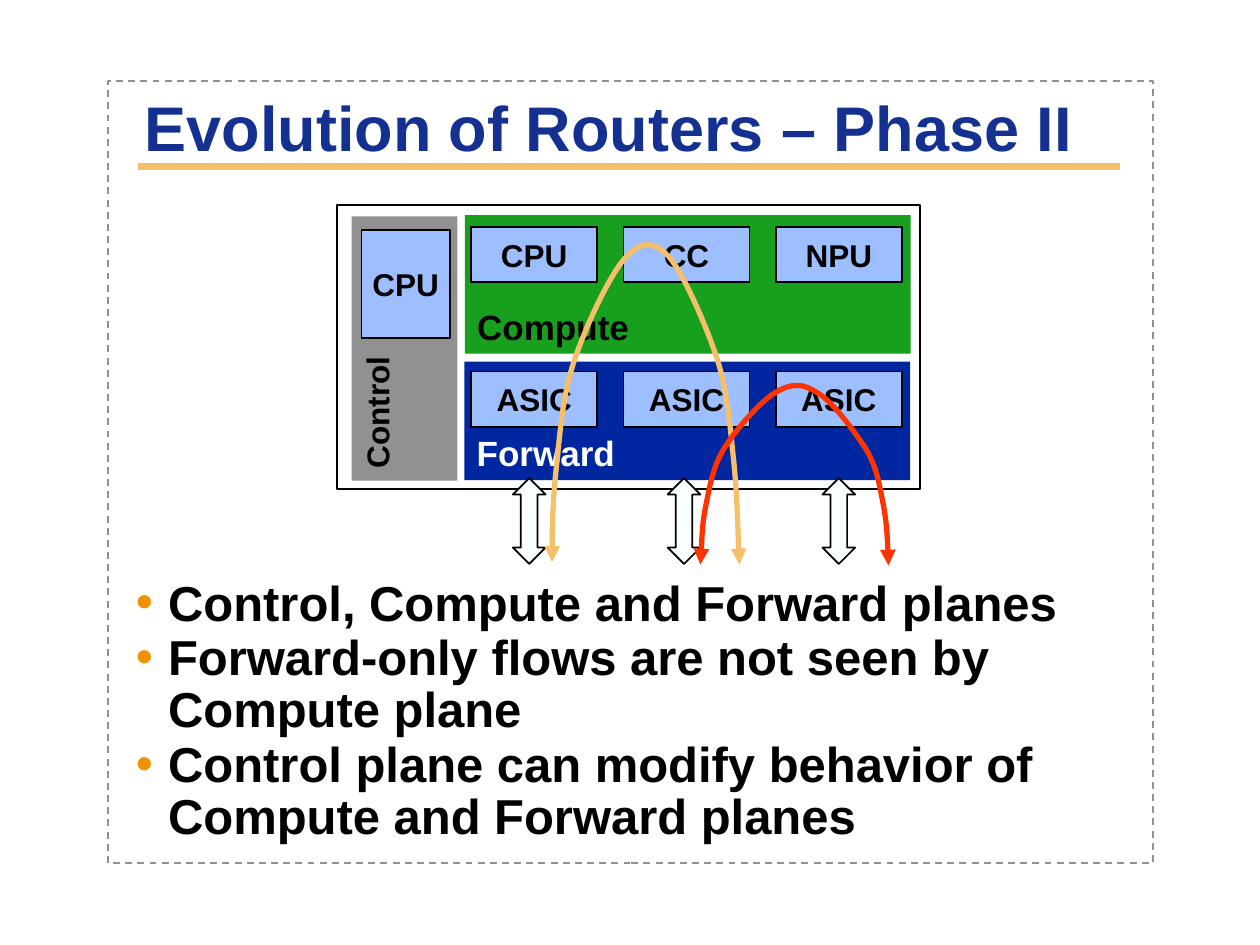
from lxml.etree import SubElement
from pptx import Presentation
from pptx.dml.color import RGBColor
from pptx.enum.dml import MSO_LINE
from pptx.enum.shapes import MSO_CONNECTOR, MSO_SHAPE
from pptx.enum.text import MSO_ANCHOR, MSO_AUTO_SIZE, PP_ALIGN
from pptx.oxml.ns import qn
from pptx.util import Cm, Pt

BLACK = RGBColor(0x00, 0x00, 0x00)
WHITE = RGBColor(0xFF, 0xFF, 0xFF)
GREY = RGBColor(0x91, 0x91, 0x91)
NAVY = RGBColor(0x14, 0x31, 0x92)
BLUE = RGBColor(0x00, 0x27, 0x9F)
GREEN = RGBColor(0x17, 0x9F, 0x1D)
LIGHT_BLUE = RGBColor(0x9D, 0xBE, 0xFF)
ICE = RGBColor(0xF9, 0xFE, 0xFF)
SAND = RGBColor(0xF6, 0xBF, 0x69)
RED = RGBColor(0xFF, 0x33, 0x00)
ORANGE = RGBColor(0xEF, 0x91, 0x00)

BULLETS = [
    "Control, Compute and Forward planes",
    "Forward-only flows are not seen by Compute plane",
    "Control plane can modify behavior of Compute and Forward planes",
]
COMPUTE_FLOW = [
    (11.13, 11.33), (11.13, 10.64), (11.15, 9.98), (11.23, 9.3),
    (11.3, 8.61), (11.35, 7.95), (11.58, 7.26),
    (11.81, 6.58), (12.29, 5.54), (12.62, 5.18),
    (12.93, 4.85), (13.18, 4.85), (13.49, 5.18),
    (13.79, 5.54), (14.22, 6.53), (14.45, 7.21),
    (14.66, 7.87), (14.71, 8.51), (14.78, 9.19),
    (14.86, 9.88), (14.88, 11.02), (14.91, 11.38),
]
FORWARD_FLOW = [
    (14.12, 11.38), (14.15, 11), (14.15, 10.62), (14.22, 10.24),
    (14.3, 9.86), (14.35, 9.47), (14.58, 9.07),
    (14.81, 8.69), (15.32, 8.1), (15.62, 7.92),
    (15.95, 7.72), (16.18, 7.72), (16.48, 7.92),
    (16.79, 8.1), (17.22, 8.69), (17.45, 9.04),
    (17.68, 9.42), (17.73, 9.78), (17.81, 10.19),
    (17.88, 10.57), (17.91, 11.2), (17.91, 11.4),
]


def set_font(paragraph, size, color):
    """Apply the bold Arial style of the slide to a paragraph."""
    font = paragraph.font
    font.name, font.size, font.bold = "Arial", Pt(size), True
    font.color.rgb = color


def add_block(page, kind, place, fill=None, outline=None):
    """Add a preset shape with an optional fill and outline."""
    block = page.shapes.add_shape(kind, *map(Cm, place))
    block.shadow.inherit = False
    if fill is None:
        block.fill.background()
    else:
        block.fill.solid()
        block.fill.fore_color.rgb = fill
    if outline is None:
        block.line.fill.background()
    else:
        block.line.color.rgb = outline
        block.line.width = Pt(1)
    return block


def write_label(block, text, size, color, anchor, align=PP_ALIGN.LEFT):
    """Write one unwrapped line of text in a block."""
    frame = block.text_frame
    frame.word_wrap = False
    frame.vertical_anchor = anchor
    paragraph = frame.paragraphs[0]
    paragraph.text = text
    paragraph.alignment = align
    set_font(paragraph, size, color)


def add_plane(page, place, text, size, fill, color=BLACK, anchor=MSO_ANCHOR.BOTTOM):
    """Add a named plane of the router."""
    plane = add_block(page, MSO_SHAPE.RECTANGLE, place, fill)
    write_label(plane, text, size, color, anchor)
    return plane


def add_chip(page, place, text):
    """Add an outlined chip with a centred name."""
    chip = add_block(page, MSO_SHAPE.RECTANGLE, place, LIGHT_BLUE, BLACK)
    write_label(chip, text, 18, BLACK, MSO_ANCHOR.MIDDLE, PP_ALIGN.CENTER)


def add_chip_row(page, top, names):
    """Add evenly spaced chips in one plane."""
    for index, name in enumerate(names):
        add_chip(page, (9.5 + 3.07 * index, top, 2.54, 1.12), name)


def bend_segments(shape):
    """Turn each three line segments of a freeform into one cubic curve."""
    outline = next(shape._element.iter(qn("a:path")))
    segments = outline.findall(qn("a:lnTo"))
    for start in range(0, len(segments), 3):
        curve = SubElement(outline, qn("a:cubicBezTo"))
        for segment in segments[start:start + 3]:
            curve.append(segment[0])
            outline.remove(segment)


def add_flow(page, knots, color):
    """Add a curved flow with an arrowhead at each end."""
    points = [(Cm(x), Cm(y)) for x, y in knots]
    builder = page.shapes.build_freeform(*points[0])
    builder.add_line_segments(points[1:], close=False)
    flow = builder.convert_to_shape()
    bend_segments(flow)
    flow.shadow.inherit = False
    flow.fill.background()
    flow.line.color.rgb = color
    flow.line.width = Pt(3)
    outline = flow.line._get_or_add_ln()
    for end in ("a:headEnd", "a:tailEnd"):
        SubElement(outline, qn(end), type="triangle")


def add_frame(page):
    """Add the dashed border and the rule under the title."""
    border = add_block(page, MSO_SHAPE.RECTANGLE, (2.18, 1.63, 21.06, 15.77), outline=GREY)
    border.line.dash_style = MSO_LINE.DASH
    rule = page.shapes.add_connector(
        MSO_CONNECTOR.STRAIGHT, Cm(2.79), Cm(3.35), Cm(22.58), Cm(3.35))
    rule.line.color.rgb = SAND
    rule.line.width = Pt(4)
    SubElement(rule._element.spPr, qn("a:effectLst"))


def write_title(page, text):
    """Place and format the title placeholder."""
    title = page.shapes.title
    title.left, title.top, title.width, title.height = map(Cm, (2.34, 1.65, 20.75, 2.34))
    frame = title.text_frame
    frame.auto_size = MSO_AUTO_SIZE.NONE
    frame.vertical_anchor = MSO_ANCHOR.MIDDLE
    frame.margin_left, frame.margin_bottom = Cm(0.58), Cm(0.68)
    paragraph = frame.paragraphs[0]
    paragraph.text = text
    paragraph.alignment = PP_ALIGN.LEFT
    set_font(paragraph, 36, NAVY)


def add_bullets(page, lines):
    """Add the bulleted list."""
    box = page.shapes.add_textbox(*map(Cm, (2.49, 11.56, 20.93, 5.74)))
    frame = box.text_frame
    frame.word_wrap = True
    for index, line in enumerate(lines):
        paragraph = frame.add_paragraph() if index else frame.paragraphs[0]
        paragraph.text = line
        paragraph.line_spacing = 0.88
        paragraph.space_after = Pt(1.8)
        properties = paragraph._p.get_or_add_pPr()
        properties.set("marL", str(Cm(0.65)))
        properties.set("indent", str(-Cm(0.65)))
        SubElement(SubElement(properties, qn("a:buClr")), qn("a:srgbClr"), val=str(ORANGE))
        SubElement(properties, qn("a:buFont"), typeface="Arial")
        SubElement(properties, qn("a:buChar"), char="•")
        set_font(paragraph, 28, BLACK)


def add_router(page):
    """Draw the router with its planes, chips, ports and flows."""
    add_block(page, MSO_SHAPE.RECTANGLE, (6.79, 4.14, 11.76, 5.72), WHITE, BLACK)
    add_plane(page, (9.36, 7.29, 8.99, 2.39), "Forward", 20, BLUE, WHITE)
    control = add_plane(page, (5.49, 5.96, 5.33, 2.13), "Control", 18, GREY,
                        anchor=MSO_ANCHOR.TOP)
    control.rotation = 270
    add_chip(page, (7.29, 4.64, 1.78, 2.18), "CPU")
    add_chip_row(page, 7.49, ["ASIC"] * 3)
    add_plane(page, (9.37, 4.34, 8.99, 2.79), "Compute", 20, GREEN)
    add_chip_row(page, 4.57, ["CPU", "CC", "NPU"])
    for index in range(3):
        place = (10.34 + 3.12 * index, 9.64, 0.66, 1.73)
        port = add_block(page, MSO_SHAPE.UP_DOWN_ARROW, place, ICE, BLACK)
        port.adjustments[0], port.adjustments[1] = 0.5, 0.51
    add_flow(page, COMPUTE_FLOW, SAND)
    add_flow(page, FORWARD_FLOW, RED)


def main():
    """Build the slide and save the deck."""
    deck = Presentation()
    deck.slide_width, deck.slide_height = Cm(25.4), Cm(19.05)
    page = deck.slides.add_slide(deck.slide_layouts[5])
    add_frame(page)
    write_title(page, "Evolution of Routers – Phase II")
    add_bullets(page, BULLETS)
    add_router(page)
    deck.save("out.pptx")


if __name__ == "__main__":
    main()
